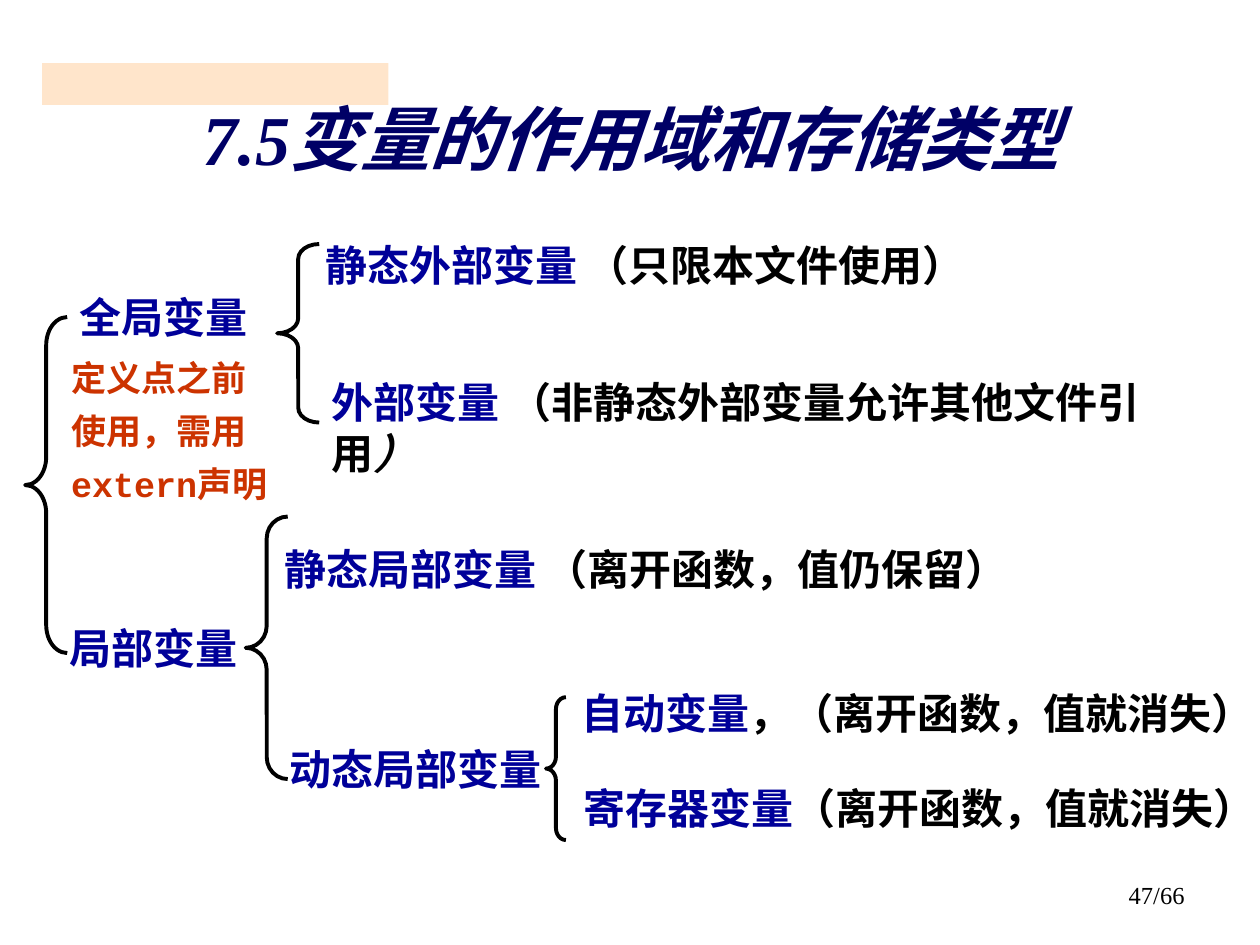
from lxml import etree
from pptx import Presentation
from pptx.dml.color import RGBColor
from pptx.enum.shapes import MSO_SHAPE
from pptx.enum.text import MSO_ANCHOR, PP_ALIGN
from pptx.oxml import parse_xml
from pptx.oxml.ns import qn
from pptx.util import Inches, Pt

RECT, BRACE = MSO_SHAPE.RECTANGLE, MSO_SHAPE.LEFT_BRACE
LEFT, MID, RIGHT = PP_ALIGN.LEFT, PP_ALIGN.CENTER, PP_ALIGN.RIGHT
TOP, CORE = MSO_ANCHOR.TOP, MSO_ANCHOR.MIDDLE
COLORS = {"ink": "000000", "blue": "000099", "navy": "000066",
          "rust": "CC3300", "peach": "FFCC99"}
SANS, SERIF, MONO = "Noto Sans CJK SC", "Times New Roman", "Courier New"
NS = "http://schemas.openxmlformats.org/drawingml/2006/main"

deck = Presentation()
deck.slide_width, deck.slide_height = Inches(10), Inches(7.5)
slide = deck.slides.add_slide(deck.slide_layouts[6])
cell = deck.slide_width / 120


def grid(*spots):
    return [round(spot * cell) for spot in spots]


def write(at, lines, size, bold=True, align=LEFT, anchor=TOP, gap=0, lead=None):
    box = slide.shapes.add_textbox(*grid(*at))
    frame = box.text_frame
    frame.word_wrap = True
    frame.vertical_anchor = anchor
    for row, runs in enumerate(lines):
        para = frame.add_paragraph() if row else frame.paragraphs[0]
        para.alignment = align
        para.line_spacing = lead
        if row:
            para.space_before = Pt(gap)
        for text, hue, face, slant in runs:
            run = para.add_run()
            run.text = text
            font = run.font
            font.size, font.bold, font.italic = Pt(size), bold, slant
            font.name = face
            font.color.rgb = RGBColor.from_string(COLORS[hue])
            east = etree.SubElement(font._element, qn("a:ea"))
            east.set("typeface", SANS)
    return box


band = slide.shapes.add_shape(RECT, *grid(4, 6, 33, 4))
band.shadow.inherit = False
band.fill.solid()
band.fill.fore_color.rgb = RGBColor.from_string(COLORS["peach"])
tint = band.fill._xPr.find(".//" + qn("a:srgbClr"))
etree.SubElement(tint, qn("a:alpha")).set("val", "50000")
band.line.fill.background()

braces = [(2.4, 30.2, 4, 32), (26.4, 23.25, 4, 17),
          (23.4, 49.2, 4, 25), (52, 66.4, 1.9, 13.6)]
for at in braces:
    brace = slide.shapes.add_shape(BRACE, *grid(*at))
    brace.shadow.inherit = False
    brace.adjustments[0] = at[3] / 12 / at[2]
    brace.fill.background()
    brace.line.color.rgb = RGBColor.from_string(COLORS["ink"])
    brace.line.width = Pt(2.25)

terms = [
    ((6.4, 27.2, 19, 6), "全局变量", ""),
    ((29.8, 22.2, 80, 6), "静态外部变量", " （只限本文件使用）"),
    ((5.4, 58.7, 19, 6), "局部变量", ""),
    ((25.9, 51.2, 77, 6), "静态局部变量", " （离开函数，值仍保留）"),
    ((26.4, 70.2, 27, 6), "动态局部变量", ""),
    ((54.2, 64.9, 68, 6), "自动变量", "，（离开函数，值就消失）"),
    ((54.4, 73.9, 68, 6), "寄存器变量", "（离开函数，值就消失）"),
]
for at, term, note in terms:
    runs = [(term, "blue", SANS, False)]
    if note:
        runs.append((note, "ink", SANS, False))
    write(at, [runs], 24)

write((30.4, 35.3, 86.4, 10.8), [[
    ("外部变量 ", "blue", SANS, False),
    ("（非静态外部变量允许其他文件引用", "ink", SANS, False),
    ("）", "ink", SERIF, True)]], 24)

hints = ["定义点之前", "使用，需用", "extern声明"]
write((5.6, 33.4, 23, 15.2),
      [[(hint, "rust", MONO, False)] for hint in hints], 20, gap=6)

title = write((8.9, 8.2, 102.4, 11), [[
    ("7.5", "navy", SERIF, True),
    ("变量的作用域和存储类型", "navy", MONO, True)]],
    40, align=MID, anchor=CORE, lead=0.85)
for run in title.text_frame.paragraphs[0].runs:
    shade = parse_xml(
        f'<a:effectLst xmlns:a="{NS}"><a:outerShdw dist="25400" dir="2700000">'
        f'<a:srgbClr val="{COLORS["ink"]}"/></a:outerShdw></a:effectLst>')
    run.font._element.find(qn("a:solidFill")).addnext(shade)

write((86, 83.2, 28, 6.2), [[("47/66", "ink", SERIF, False)]], 14,
      bold=False, align=RIGHT)

deck.save("out.pptx")
